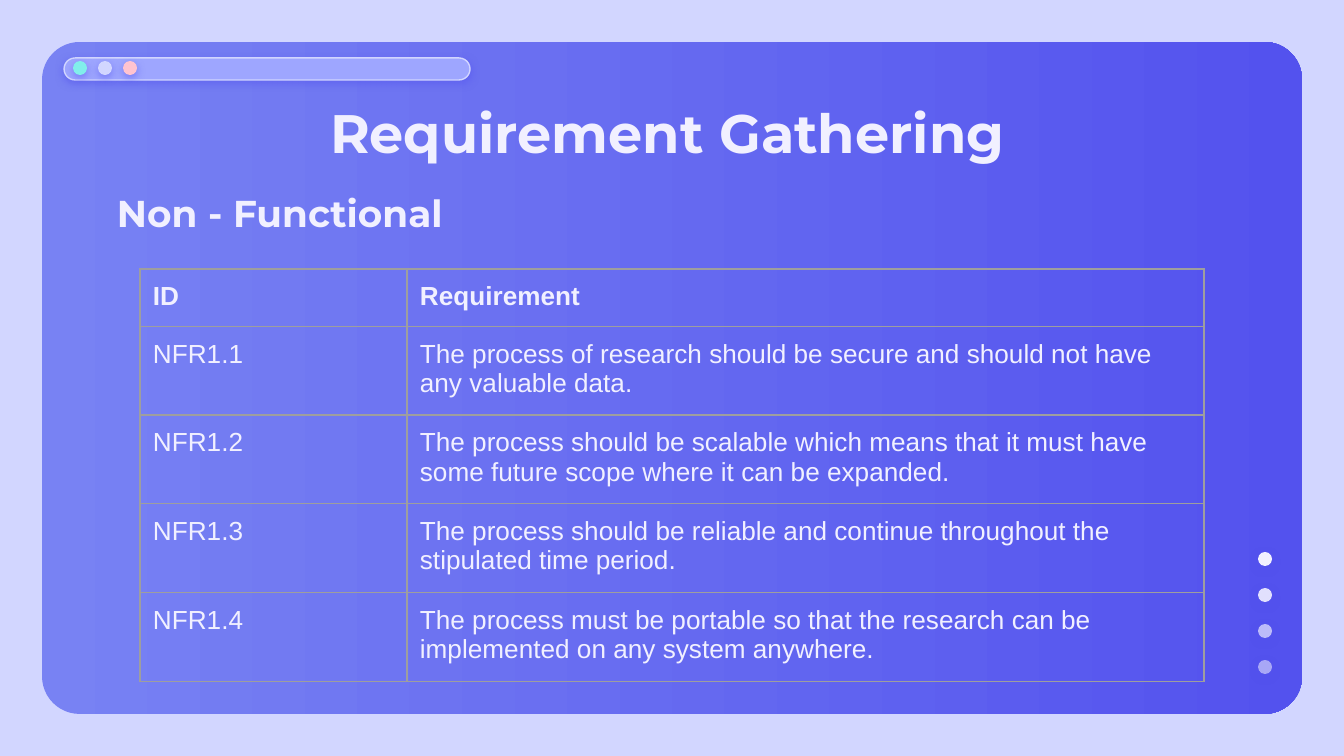
from dataclasses import dataclass
from typing import Optional

from lxml.etree import SubElement
from pptx import Presentation
from pptx.dml.color import RGBColor
from pptx.enum.shapes import MSO_SHAPE
from pptx.enum.text import MSO_ANCHOR, PP_ALIGN
from pptx.oxml.ns import qn
from pptx.util import Emu, Pt

PALE = RGBColor(0xD2, 0xD6, 0xFF)
INDIGO = RGBColor(0x53, 0x52, 0xEE)
PERIWINKLE = RGBColor(0x78, 0x82, 0xF3)
LAVENDER = RGBColor(0x9E, 0xA6, 0xFF)
AQUA = RGBColor(0x81, 0xEE, 0xEB)
PINK = RGBColor(0xFF, 0xC3, 0xD0)
WHITE = RGBColor(0xF1, 0xF0, 0xFF)
GREY = RGBColor(0x9E, 0x9E, 0x9E)

EMU_PER_PX = 914400 / 134.4
INSET = 13
DOT_SIZE = 14


def px(length: int) -> Emu:
    return Emu(round(length * EMU_PER_PX))


@dataclass
class Area:
    left: int
    top: int
    width: int
    height: int

    def emu(self) -> tuple:
        return px(self.left), px(self.top), px(self.width), px(self.height)


@dataclass
class Dot:
    left: int
    top: int
    color: RGBColor
    opacity: int = 100


@dataclass
class Heading:
    text: str
    area: Area
    size: int


@dataclass
class Requirement:
    code: str
    text: str


DOTS = [Dot(73 + 25 * i, 61, color) for i, color in enumerate((AQUA, PALE, PINK))]
DOTS += [Dot(1258, 552 + 36 * i, WHITE, opacity) for i, opacity in enumerate((100, 90, 67, 54))]

HEADINGS = [
    Heading("Requirement Gathering", Area(317, 83, 718, 98), 29),
    Heading("Non - Functional", Area(104, 180, 391, 65), 20),
]

REQUIREMENTS = [
    Requirement("ID", "Requirement"),
    Requirement("NFR1.1", "The process of research should be secure and should not have any valuable data."),
    Requirement("NFR1.2", "The process should be scalable which means that it must have some future scope where it can be expanded."),
    Requirement("NFR1.3", "The process should be reliable and continue throughout the stipulated time period."),
    Requirement("NFR1.4", "The process must be portable so that the research can be implemented on any system anywhere."),
]


def add_color(parent, color: RGBColor, opacity: int = 100) -> None:
    tag = SubElement(parent, qn("a:srgbClr"), val=str(color))
    if opacity < 100:
        SubElement(tag, qn("a:alpha"), val=str(opacity * 1000))


def add_plain_shape(page, kind, area: Area, color: Optional[RGBColor] = None):
    shape = page.shapes.add_shape(kind, *area.emu())
    if color is not None:
        shape.fill.solid()
        shape.fill.fore_color.rgb = color
    shape.line.fill.background()
    shape.shadow.inherit = False
    return shape


def add_shadow(shape) -> None:
    effects = shape._element.spPr.find(qn("a:effectLst"))
    shadow = SubElement(effects, qn("a:outerShdw"), blurRad=str(Pt(4.5)), dist=str(Pt(1.5)),
                        dir="5400000", algn="bl", rotWithShape="0")
    add_color(shadow, INDIGO, 50)


def add_panel(page) -> None:
    panel = add_plain_shape(page, MSO_SHAPE.ROUNDED_RECTANGLE, Area(42, 42, 1260, 672))
    panel.adjustments[0] = 0.056
    panel.fill.gradient()
    panel.fill.gradient_angle = 0
    for stop, color in zip(panel.fill.gradient_stops, (PERIWINKLE, INDIGO)):
        stop.color.rgb = color


def add_address_bar(page) -> None:
    bar = add_plain_shape(page, MSO_SHAPE.ROUNDED_RECTANGLE, Area(64, 58, 406, 22), LAVENDER)
    bar.adjustments[0] = 0.5
    bar.line.color.rgb = PALE
    bar.line.width = Pt(0.75)
    add_shadow(bar)


def add_dot(page, dot: Dot) -> None:
    area = Area(dot.left, dot.top, DOT_SIZE, DOT_SIZE)
    shape = add_plain_shape(page, MSO_SHAPE.OVAL, area, dot.color)
    if dot.opacity < 100:
        fill = shape._element.spPr.find(qn("a:solidFill"))
        fill.remove(fill[0])
        add_color(fill, dot.color, dot.opacity)
    add_shadow(shape)


def add_span(para, text: str, font: str, size: int, bold: bool) -> None:
    para.alignment = PP_ALIGN.LEFT
    span = para.add_run()
    span.text = text
    span.font.name = font
    span.font.size = Pt(size)
    span.font.bold = bold
    span.font.color.rgb = WHITE


def set_insets(holder) -> None:
    holder.margin_left = holder.margin_right = px(INSET)
    holder.margin_top = holder.margin_bottom = px(INSET)


def add_heading(page, heading: Heading) -> None:
    frame = page.shapes.add_textbox(*heading.area.emu()).text_frame
    frame.word_wrap = True
    frame.vertical_anchor = MSO_ANCHOR.MIDDLE
    set_insets(frame)
    add_span(frame.paragraphs[0], heading.text, "Montserrat", heading.size, True)


def add_borders(cell) -> None:
    properties = cell._tc.get_or_add_tcPr()
    for index, side in enumerate(("a:lnL", "a:lnR", "a:lnT", "a:lnB")):
        line = properties.makeelement(qn(side), {"w": str(Pt(0.75))})
        add_color(SubElement(line, qn("a:solidFill")), GREY)
        properties.insert(index, line)


def add_requirements(page) -> None:
    widths = (267, 797)
    heights = [56] + [85] * (len(REQUIREMENTS) - 1)
    area = Area(140, 269, sum(widths), sum(heights))
    table = page.shapes.add_table(len(heights), len(widths), *area.emu()).table
    table.first_row = table.horz_banding = False
    for column, width in zip(table.columns, widths):
        column.width = px(width)
    for index, (row, requirement) in enumerate(zip(table.rows, REQUIREMENTS)):
        row.height = px(heights[index])
        for cell, text in zip(row.cells, (requirement.code, requirement.text)):
            cell.fill.background()
            set_insets(cell)
            add_borders(cell)
            add_span(cell.text_frame.paragraphs[0], text, "Arial", 14, index == 0)


def main() -> None:
    deck = Presentation()
    deck.slide_width, deck.slide_height = px(1344), px(756)
    page = deck.slides.add_slide(deck.slide_layouts[6])
    page.background.fill.solid()
    page.background.fill.fore_color.rgb = PALE
    add_panel(page)
    add_address_bar(page)
    for dot in DOTS:
        add_dot(page, dot)
    for heading in HEADINGS:
        add_heading(page, heading)
    add_requirements(page)
    deck.save("out.pptx")


if __name__ == "__main__":
    main()
